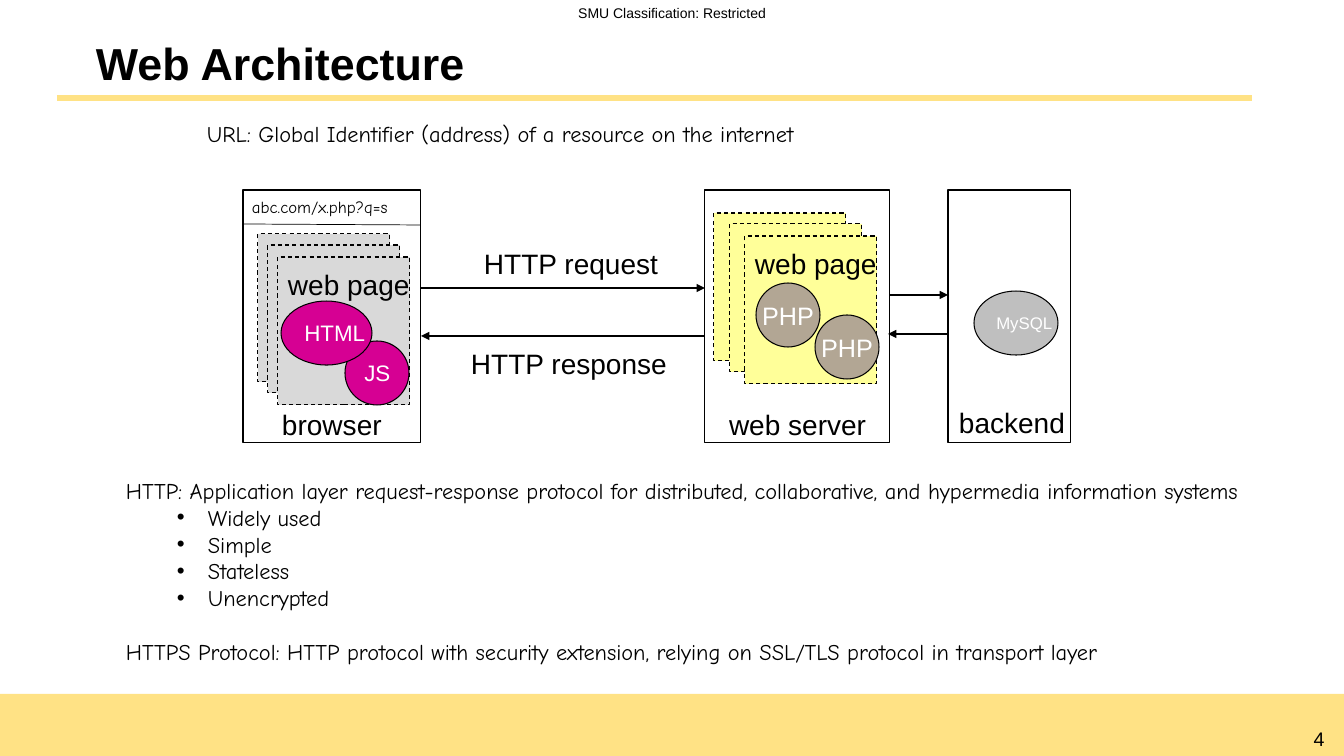
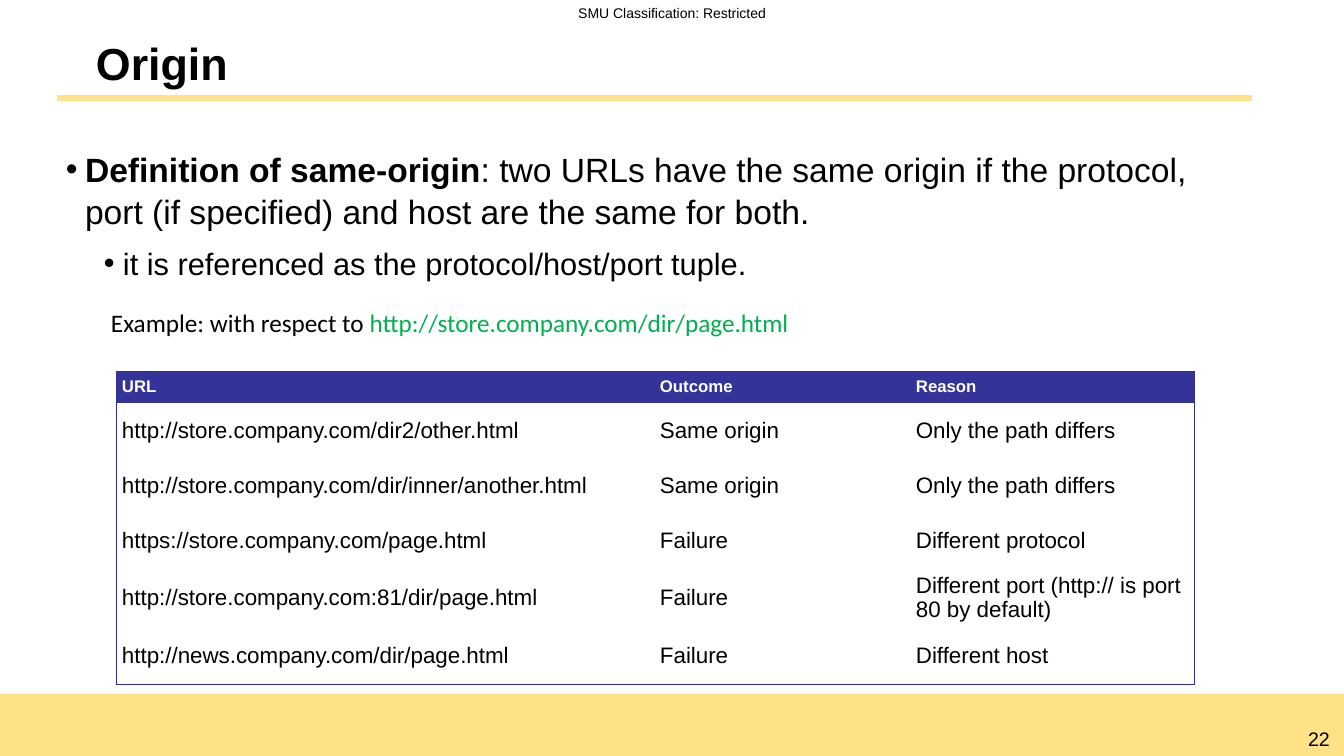
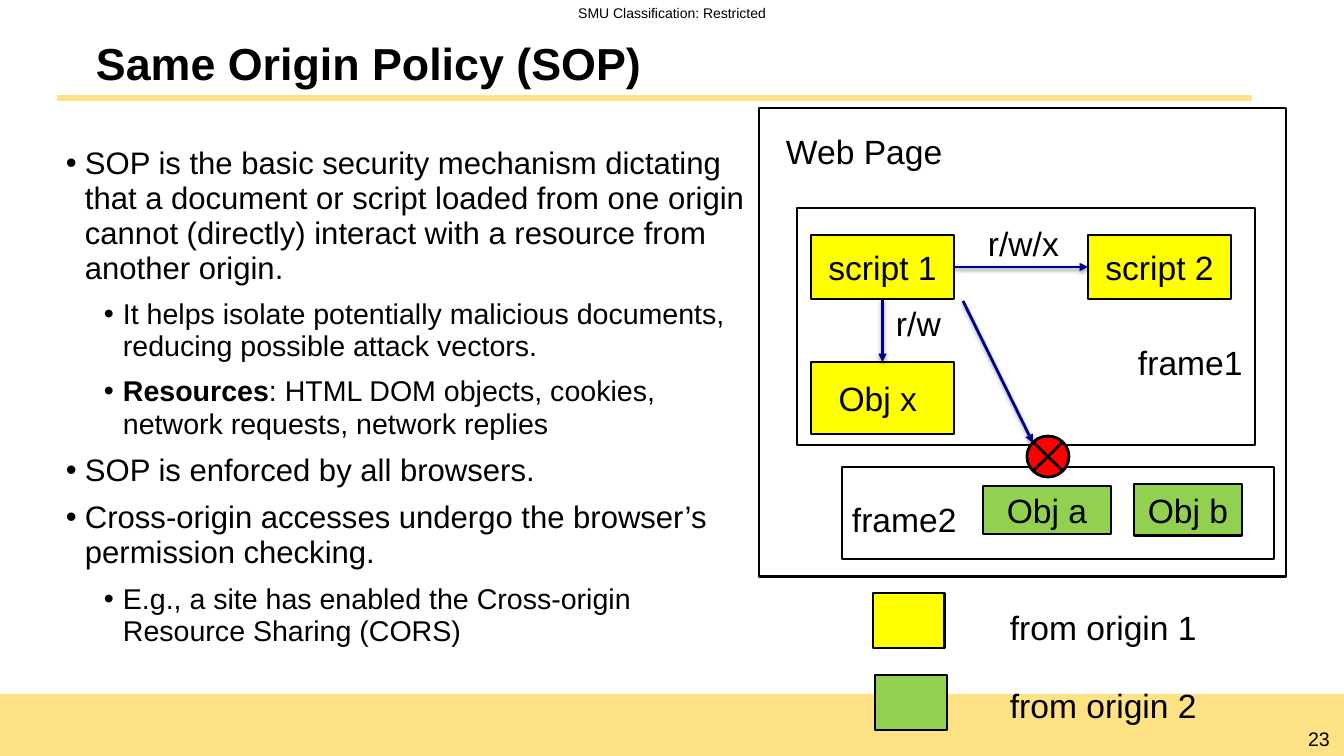
from lxml import etree
from pptx import Presentation
from pptx.dml.color import RGBColor
from pptx.enum import dml, shapes, text
from pptx.oxml import ns
from pptx.util import Emu, Pt

SCALE = 914400 / 100.8
BLACK, WHITE, BAND = "000000", "FFFFFF", "FFE285"
GREY, MAGENTA, PALE_YELLOW, TAUPE, SILVER = "D9D9D9", "D60093", "FFFF99", "B2A694", "BFBFBF"
YELLOW, GREEN, NAVY, LINK = "FFFF00", "92D050", "000090", "00B050"
HEADER, TABLE_EDGE = "333399", "2F2F98"
BODY_FONT, NOTE_FONT = "Arial", "Comic Neue"
LEFT, CENTER = text.PP_ALIGN.LEFT, text.PP_ALIGN.CENTER
TOP, MIDDLE = text.MSO_ANCHOR.TOP, text.MSO_ANCHOR.MIDDLE
RECTANGLE, OVAL = shapes.MSO_SHAPE.RECTANGLE, shapes.MSO_SHAPE.OVAL


def px(value):
    return Emu(round(value * SCALE))


def rgb(value):
    return RGBColor.from_string(value)


def add_child(parent, tag, **attributes):
    return etree.SubElement(parent, ns.qn(tag), attributes)


def style_font(paragraph, size, color=BLACK, font=BODY_FONT, bold=False):
    paragraph.font.size = Pt(size)
    paragraph.font.name = font
    paragraph.font.bold = bold
    paragraph.font.color.rgb = rgb(color)


def set_bullet(paragraph, margin, hanging):
    properties = paragraph._p.get_or_add_pPr()
    properties.set("marL", str(px(margin)))
    properties.set("indent", str(-px(hanging)))
    add_child(properties, "a:buFont", typeface="Arial")
    add_child(properties, "a:buChar", char="•")


def set_frame(frame, anchor=TOP, wrap=False, insets=(10, 5)):
    frame.word_wrap = wrap
    frame.vertical_anchor = anchor
    frame.margin_left = frame.margin_right = px(insets[0])
    frame.margin_top = frame.margin_bottom = px(insets[1])


def write(frame, words, size, align=LEFT, **font):
    paragraph = frame.paragraphs[0]
    paragraph.text = words
    paragraph.alignment = align
    style_font(paragraph, size, **font)
    return paragraph


def add_frame(slide, x, y, width, height, **layout):
    frame = slide.shapes.add_textbox(px(x), px(y), px(width), px(height)).text_frame
    set_frame(frame, **layout)
    return frame


def add_label(slide, words, x, y, width, height=44, size=20, **font):
    write(add_frame(slide, x, y, width, height), words, size, **font)


def add_figure(slide, kind, x, y, width, height, fill=None, weight=0.75, edge=BLACK):
    shape = slide.shapes.add_shape(kind, px(x), px(y), px(width), px(height))
    shape.shadow.inherit = False
    if fill:
        shape.fill.solid()
        shape.fill.fore_color.rgb = rgb(fill)
    else:
        shape.fill.background()
    if edge:
        shape.line.color.rgb = rgb(edge)
        shape.line.width = Pt(weight)
    else:
        shape.line.fill.background()
    return shape


def add_line(slide, start, end, color=BLACK, weight=1.5, arrow=True, shadow=False):
    line = slide.shapes.add_connector(
        shapes.MSO_CONNECTOR.STRAIGHT, *(px(value) for value in (*start, *end)))
    line.line.color.rgb = rgb(color)
    line.line.width = Pt(weight)
    if arrow:
        add_child(line.line._get_or_add_ln(), "a:tailEnd", type="triangle")
    effects = add_child(line._element.spPr, "a:effectLst")
    if shadow:
        cast = add_child(effects, "a:outerShdw", blurRad=str(Pt(3.1)), dist=str(Pt(1.6)),
                         dir="5400000", rotWithShape="0")
        tint = add_child(cast, "a:srgbClr", val=BLACK)
        add_child(tint, "a:alpha", val="38000")
    return line


def add_body(slide, x, y, width, height, entries, sizes, spacing):
    frame = add_frame(slide, x, y, width, height, wrap=True)
    for index, (level, strong, words) in enumerate(entries):
        paragraph = frame.add_paragraph() if index else frame.paragraphs[0]
        paragraph.level = level
        paragraph.line_spacing = spacing
        if index:
            paragraph.space_before = Pt(4.5)
        paragraph.space_after = Pt(4.5)
        set_bullet(paragraph, (19, 57)[level], 19)
        style_font(paragraph, sizes[level])
        if strong:
            run = paragraph.add_run()
            run.text = strong
            run.font.bold = True
        paragraph.add_run().text = words


def add_base(presentation, title, number):
    slide = presentation.slides.add_slide(presentation.slide_layouts[6])
    add_figure(slide, RECTANGLE, 0, 694, 1344, 62, BAND, edge=None)
    write(add_frame(slide, 522, 0, 300, 27), "SMU Classification: Restricted", 10, CENTER)
    write(add_frame(slide, 1295, 722, 48, 34), str(number), 14, CENTER)
    add_line(slide, (57, 98), (1252, 98), BAND, 4.75, arrow=False)
    heading = add_frame(slide, 57, 34, 1195, 65, anchor=MIDDLE, wrap=True, insets=(39, 5))
    write(heading, title, 32, bold=True).line_spacing = 0.9
    return slide


def add_page_stack(slide, corners, fill):
    for x, y in corners:
        page = add_figure(slide, RECTANGLE, x, y, 132, 148, fill)
        page.line.dash_style = dml.MSO_LINE.DASH
    set_frame(page.text_frame, insets=(10, 10))
    write(page.text_frame, "web page", 20)


def add_oval(slide, words, x, y, width, fill, size, align=LEFT, inset=10):
    oval = add_figure(slide, OVAL, x, y, width, 64, fill)
    set_frame(oval.text_frame, MIDDLE, insets=(inset, 5))
    write(oval.text_frame, words, size, align, color=WHITE)


def add_box(slide, words, x, y, width, height, fill):
    box = add_figure(slide, RECTANGLE, x, y, width, height, fill, weight=2)
    set_frame(box.text_frame, MIDDLE, wrap=True)
    write(box.text_frame, words, 24, CENTER)
    return box


def set_borders(cell, visible):
    properties = cell._tc.get_or_add_tcPr()
    for index, side in enumerate("LRTB"):
        edge = etree.Element(ns.qn("a:ln" + side), w=str(Pt(0.75)))
        if side in visible:
            add_child(add_child(edge, "a:solidFill"), "a:srgbClr", val=TABLE_EDGE)
        else:
            add_child(edge, "a:noFill")
        properties.insert(index, edge)


def add_grid(slide, x, y, widths, heights, rows):
    table = slide.shapes.add_table(len(rows), len(widths), px(x), px(y),
                                   px(sum(widths)), px(sum(heights))).table
    table.horz_banding = False
    for column, width in zip(table.columns, widths):
        column.width = px(width)
    for row, height in zip(table.rows, heights):
        row.height = px(height)
    last_row, last_column = len(rows) - 1, len(widths) - 1
    for i, row in enumerate(rows):
        for j, words in enumerate(row):
            cell = table.cell(i, j)
            cell.vertical_anchor = MIDDLE
            cell.margin_left = cell.margin_right = px(6)
            cell.margin_top = cell.margin_bottom = px(3)
            if i == 0:
                cell.fill.solid()
                cell.fill.fore_color.rgb = rgb(HEADER)
                write(cell.text_frame, words, 12, color=WHITE, bold=True)
            else:
                cell.fill.background()
                write(cell.text_frame, words, 16)
            edges = {"L": j == 0, "R": j == last_column, "T": i == 0, "B": i == last_row}
            set_borders(cell, [side for side, shown in edges.items() if shown])


def build_architecture(presentation):
    slide = add_base(presentation, "Web Architecture", 4)
    for x, width in ((243, 178), (705, 185), (948, 123)):
        add_figure(slide, RECTANGLE, x, 190, width, 253)
    add_line(slide, (243, 224), (421, 225), weight=0.5, arrow=False)
    address = add_frame(slide, 242, 190, 178, 34, anchor=MIDDLE)
    write(address, "abc.com/x.php?q=s", 12, font=NOTE_FONT)

    add_page_stack(slide, ((258, 234), (268, 245), (278, 257)), GREY)
    add_oval(slide, "JS", 345, 341, 64, MAGENTA, 16)
    add_oval(slide, "HTML", 281, 301, 91, MAGENTA, 16)
    add_page_stack(slide, ((714, 213), (730, 224), (745, 236)), PALE_YELLOW)
    add_oval(slide, "PHP", 815, 315, 64, TAUPE, 18, CENTER, 0)
    add_oval(slide, "PHP", 756, 283, 64, TAUPE, 18, CENTER, 0)
    add_oval(slide, "MySQL", 974, 291, 84, SILVER, 12)

    for words, x, y, width in (
        ("HTTP response", 461, 341, 218),
        ("HTTP request", 474, 241, 196),
        ("browser", 272, 402, 121),
        ("web server", 719, 402, 158),
        ("backend", 949, 400, 127),
    ):
        add_label(slide, words, x, y, width)
    for start, end, y in ((421, 705, 288), (890, 948, 295), (705, 421, 336), (947, 888, 334)):
        add_line(slide, (start, y), (end, y))

    add_label(slide, "URL: Global Identifier (address) of a resource on the internet",
              197, 115, 807, 37, 16, font=NOTE_FONT)
    notes = add_frame(slide, 116, 472, 1140, 220, wrap=True)
    write(notes, "HTTP: Application layer request-response protocol for distributed, "
          "collaborative, and hypermedia information systems", 16, font=NOTE_FONT)
    for words in ("Widely used", "Simple", "Stateless", "Unencrypted"):
        paragraph = notes.add_paragraph()
        paragraph.text = words
        paragraph.level = 1
        set_bullet(paragraph, 82, 31)
        style_font(paragraph, 16, font=NOTE_FONT)
    closing = notes.add_paragraph()
    closing.text = ("HTTPS Protocol: HTTP protocol with security extension, "
                    "relying on SSL/TLS protocol in transport layer")
    closing.space_before = Pt(19)
    style_font(closing, 16, font=NOTE_FONT)


def build_origin(presentation):
    slide = add_base(presentation, "Origin", 22)
    add_body(slide, 56, 142, 1196, 150, (
        (0, "Definition of same-origin", ": two URLs have the same origin if the protocol, "
            "port (if specified) and host are the same for both."),
        (1, "", "it is referenced as the protocol/host/port tuple."),
    ), (24, 22), 1.04)
    example = add_frame(slide, 101, 302, 984, 50, wrap=True)
    paragraph = write(example, "Example: with respect to ", 18, font="Calibri")
    address = paragraph.add_run()
    address.text = "http://store.company.com/dir/page.html"
    address.font.color.rgb = rgb(LINK)
    add_grid(slide, 116, 371, (538, 256, 285), (32, 55, 55, 55, 59, 57), (
        ("URL", "Outcome", "Reason"),
        ("http://store.company.com/dir2/other.html", "Same origin", "Only the path differs"),
        ("http://store.company.com/dir/inner/another.html", "Same origin",
         "Only the path differs"),
        ("https://store.company.com/page.html", "Failure", "Different protocol"),
        ("http://store.company.com:81/dir/page.html", "Failure",
         "Different port (http:// is port 80 by default)"),
        ("http://news.company.com/dir/page.html", "Failure", "Different host"),
    ))


def build_policy(presentation):
    slide = add_base(presentation, "Same Origin Policy (SOP)", 23)
    add_body(slide, 56, 141, 704, 520, (
        (0, "", "SOP is the basic security mechanism dictating that a document or script "
            "loaded from one origin cannot (directly) interact with a resource from "
            "another origin."),
        (1, "", "It helps isolate potentially malicious documents, reducing possible "
            "attack vectors."),
        (1, "Resources", ": HTML DOM objects, cookies, network requests, network replies"),
        (0, "", "SOP is enforced by all browsers."),
        (0, "", "Cross-origin accesses undergo the browser’s permission checking."),
        (1, "", "E.g., a site has enabled the Cross-origin Resource Sharing (CORS)"),
    ), (22.2, 20.4), 0.94)

    add_figure(slide, RECTANGLE, 759, 108, 527, 469, WHITE, 2)
    script_1 = add_box(slide, "script 1", 811, 235, 143, 64, YELLOW)
    script_2 = add_box(slide, "script 2", 1088, 235, 143, 64, YELLOW)
    object_x = add_box(slide, "Obj x ", 811, 362, 143, 72, YELLOW)
    add_box(slide, "Obj b", 1134, 484, 108, 52, GREEN)
    add_box(slide, "Obj a", 983, 486, 128, 48, GREEN)
    add_figure(slide, RECTANGLE, 873, 593, 72, 55, YELLOW, 2)
    add_figure(slide, RECTANGLE, 875, 675, 72, 55, GREEN, 2)

    across = add_line(slide, (954, 267), (1088, 267), NAVY, 2, shadow=True)
    across.begin_connect(script_1, 3)
    across.end_connect(script_2, 1)
    down = add_line(slide, (883, 299), (883, 362), NAVY, 2, shadow=True)
    down.begin_connect(script_1, 2)
    down.end_connect(object_x, 0)
    add_line(slide, (963, 301), (1033, 443), NAVY, 2, shadow=True)

    add_figure(slide, RECTANGLE, 842, 467, 432, 92, weight=2)
    add_figure(slide, RECTANGLE, 797, 208, 458, 237, weight=2)
    for words, x, y, width in (
        ("Web Page", 776, 126, 178),
        ("from origin 1", 1000, 602, 209),
        ("from origin 2", 1000, 680, 209),
        ("r/w/x", 978, 218, 92),
        ("r/w", 886, 298, 66),
        ("frame1", 1128, 337, 126),
        ("frame2", 842, 494, 126),
    ):
        add_label(slide, words, x, y, width, 50, 24)
    add_figure(slide, shapes.MSO_SHAPE.FLOWCHART_SUMMING_JUNCTION,
               1027, 436, 42, 41, "FF0000", 2)


def main():
    presentation = Presentation()
    presentation.slide_width = px(1344)
    presentation.slide_height = px(756)
    build_architecture(presentation)
    build_origin(presentation)
    build_policy(presentation)
    presentation.save("out.pptx")


if __name__ == "__main__":
    main()
